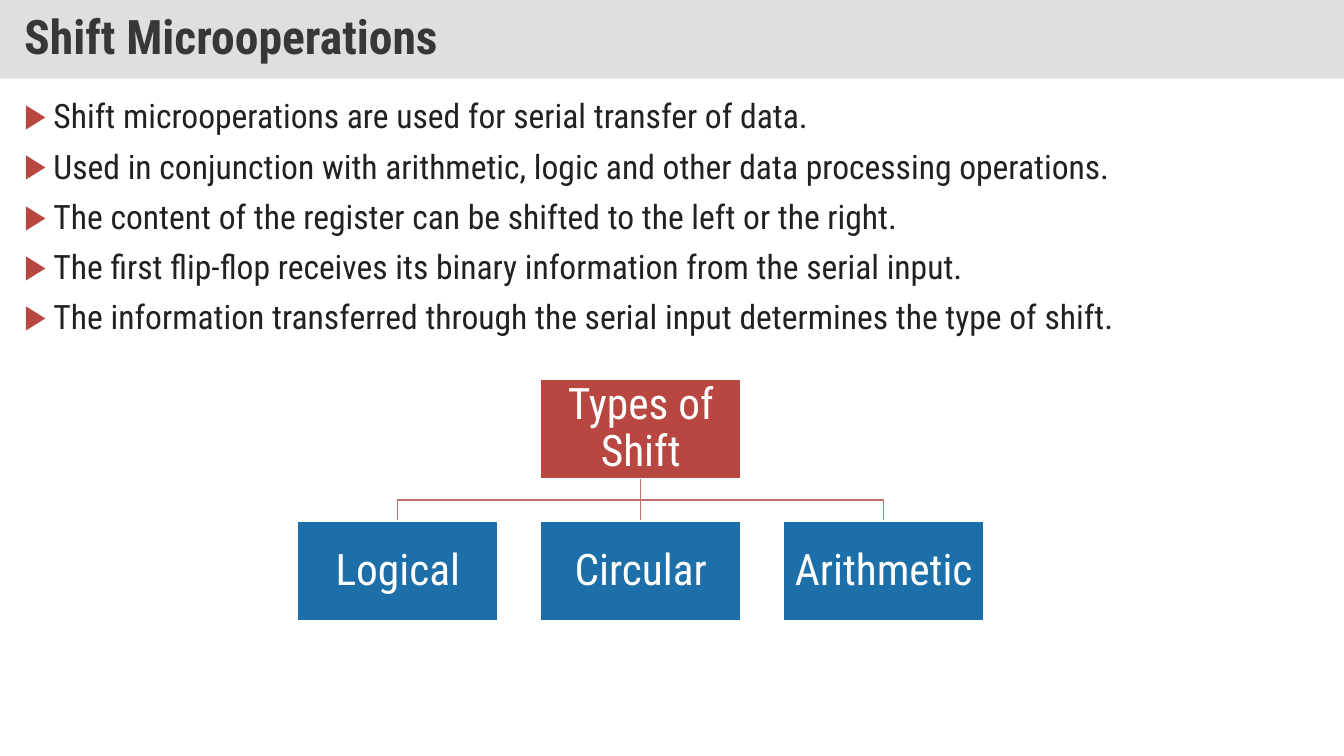
"""Build the Shift Microoperations slide with its tree of shift types."""
import lxml.etree
import pptx
import pptx.dml.color
import pptx.enum.shapes
import pptx.enum.text
import pptx.oxml.ns
import pptx.util
from dataclasses import dataclass

TITLE = "Shift Microoperations"
POINTS = [
    "Shift microoperations are used for serial transfer of data.",
    "Used in conjunction with arithmetic, logic and other data processing operations.",
    "The content of the register can be shifted to the left or the right.",
    "The first flip-flop receives its binary information from the serial input.",
    "The information transferred through the serial input determines the type of shift.",
]
ROOT = "Types of Shift"
BRANCHES = ["Logical", "Circular", "Arithmetic"]


@dataclass(frozen=True)
class Theme:
    """Colours, font and type sizes of the slide."""
    font: str = "Roboto Condensed"
    band: str = "C0C0C0"
    title: str = "373737"
    text: str = "212121"
    accent: str = "B84742"
    branch: str = "1D6FA9"
    connector: str = "C16F6D"
    white: str = "FFFFFF"
    title_size: int = 34
    body_size: int = 24
    box_size: int = 31
    line_spacing: float = 0.9


THEME = Theme()
inches = pptx.util.Inches
WIDTH, HEIGHT = inches(13.33), inches(7.5)
BOX_WIDTH, BOX_HEIGHT, GAP = inches(1.99), inches(0.99), inches(0.42)
TREE_LEFT, TREE_TOP = inches(2.95), inches(3.76)


def rgb(colour):
    """Turn a hex string into a colour."""
    return pptx.dml.color.RGBColor.from_string(colour)


def place(shape, left, top, width, height):
    """Move and size a shape."""
    shape.left, shape.top, shape.width, shape.height = left, top, width, height


def set_frame(shape, anchor, side, end):
    """Set wrapping, anchor and insets of a text frame."""
    frame = shape.text_frame
    frame.word_wrap = True
    frame.auto_size = pptx.enum.text.MSO_AUTO_SIZE.NONE
    frame.vertical_anchor = anchor
    frame.margin_left = frame.margin_right = inches(side)
    frame.margin_top = frame.margin_bottom = inches(end)
    return frame


def write(paragraph, text, size, colour, alignment, bold=False):
    """Fill a paragraph with one formatted run."""
    paragraph.alignment = alignment
    paragraph.line_spacing = THEME.line_spacing
    paragraph.space_before = pptx.util.Pt(0)
    run = paragraph.add_run()
    run.text = text
    run.font.name, run.font.size, run.font.bold = THEME.font, pptx.util.Pt(size), bold
    run.font.color.rgb = rgb(colour)


def add_bullet(paragraph):
    """Give a paragraph a coloured triangle bullet with a hanging indent."""
    tag = pptx.oxml.ns.qn
    properties = paragraph._p.get_or_add_pPr()
    properties.set("marL", str(inches(0.29)))
    properties.set("indent", str(-inches(0.29)))
    colour = lxml.etree.SubElement(properties, tag("a:buClr"))
    lxml.etree.SubElement(colour, tag("a:srgbClr"), val=THEME.accent)
    lxml.etree.SubElement(properties, tag("a:buChar"), char="▶")


def add_title(slide):
    """Place the title on its half-transparent band."""
    title = slide.shapes.title
    place(title, 0, 0, WIDTH, inches(0.78))
    title.fill.solid()
    title.fill.fore_color.rgb = rgb(THEME.band)
    for colour in title.fill._xPr.iter(pptx.oxml.ns.qn("a:srgbClr")):
        lxml.etree.SubElement(colour, pptx.oxml.ns.qn("a:alpha"), val="50000")
    frame = set_frame(title, pptx.enum.text.MSO_ANCHOR.MIDDLE, 0.24, 0.12)
    write(frame.paragraphs[0], TITLE, THEME.title_size, THEME.title,
          pptx.enum.text.PP_ALIGN.LEFT, bold=True)


def add_points(slide):
    """Fill the body placeholder with the bulleted points."""
    body = slide.placeholders[1]
    place(body, inches(0.14), inches(0.94), inches(13.05), inches(2.64))
    frame = set_frame(body, pptx.enum.text.MSO_ANCHOR.TOP, 0.1, 0.05)
    for index, point in enumerate(POINTS):
        paragraph = frame.add_paragraph() if index else frame.paragraphs[0]
        write(paragraph, point, THEME.body_size, THEME.text, pptx.enum.text.PP_ALIGN.JUSTIFY)
        if index:
            paragraph.space_before = pptx.util.Pt(10)
        add_bullet(paragraph)


def add_box(slide, text, column, row, fill):
    """Add a labelled box on the tree grid."""
    left = TREE_LEFT + column * (BOX_WIDTH + GAP)
    top = TREE_TOP + row * (BOX_HEIGHT + GAP)
    box = slide.shapes.add_shape(pptx.enum.shapes.MSO_SHAPE.RECTANGLE,
                                 left, top, BOX_WIDTH, BOX_HEIGHT)
    box.shadow.inherit = False
    box.fill.solid()
    box.fill.fore_color.rgb = rgb(fill)
    box.line.color.rgb = rgb(THEME.white)
    box.line.width = pptx.util.Pt(1)
    frame = set_frame(box, pptx.enum.text.MSO_ANCHOR.MIDDLE, 0.02, 0.02)
    write(frame.paragraphs[0], text, THEME.box_size, THEME.white,
          pptx.enum.text.PP_ALIGN.CENTER)


def add_link(slide, column, root_column):
    """Link the root box to the branch in a column."""
    start, end = (TREE_LEFT + place_in_row * (BOX_WIDTH + GAP) + BOX_WIDTH // 2
                  for place_in_row in (root_column, column))
    top = TREE_TOP + BOX_HEIGHT
    middle, bottom = top + GAP // 2, top + GAP
    if start == end:
        link = slide.shapes.add_connector(pptx.enum.shapes.MSO_CONNECTOR.STRAIGHT,
                                          start, top, end, bottom)
        lxml.etree.SubElement(link._element.spPr, pptx.oxml.ns.qn("a:effectLst"))
    else:
        outline = slide.shapes.build_freeform(start, top)
        outline.add_line_segments([(start, middle), (end, middle), (end, bottom)], close=False)
        link = outline.convert_to_shape()
        link.shadow.inherit = False
        link.fill.background()
    link.line.color.rgb = rgb(THEME.connector)
    link.line.width = pptx.util.Pt(1)


def add_tree(slide):
    """Draw the links and then the boxes of the tree."""
    root_column = len(BRANCHES) // 2
    for column in range(len(BRANCHES)):
        add_link(slide, column, root_column)
    add_box(slide, ROOT, root_column, 0, THEME.accent)
    for column, branch in enumerate(BRANCHES):
        add_box(slide, branch, column, 1, THEME.branch)


def main():
    """Build and save the presentation."""
    presentation = pptx.Presentation()
    presentation.slide_width, presentation.slide_height = WIDTH, HEIGHT
    slide = presentation.slides.add_slide(presentation.slide_layouts[1])
    add_title(slide)
    add_points(slide)
    add_tree(slide)
    presentation.save("out.pptx")


if __name__ == "__main__":
    main()
